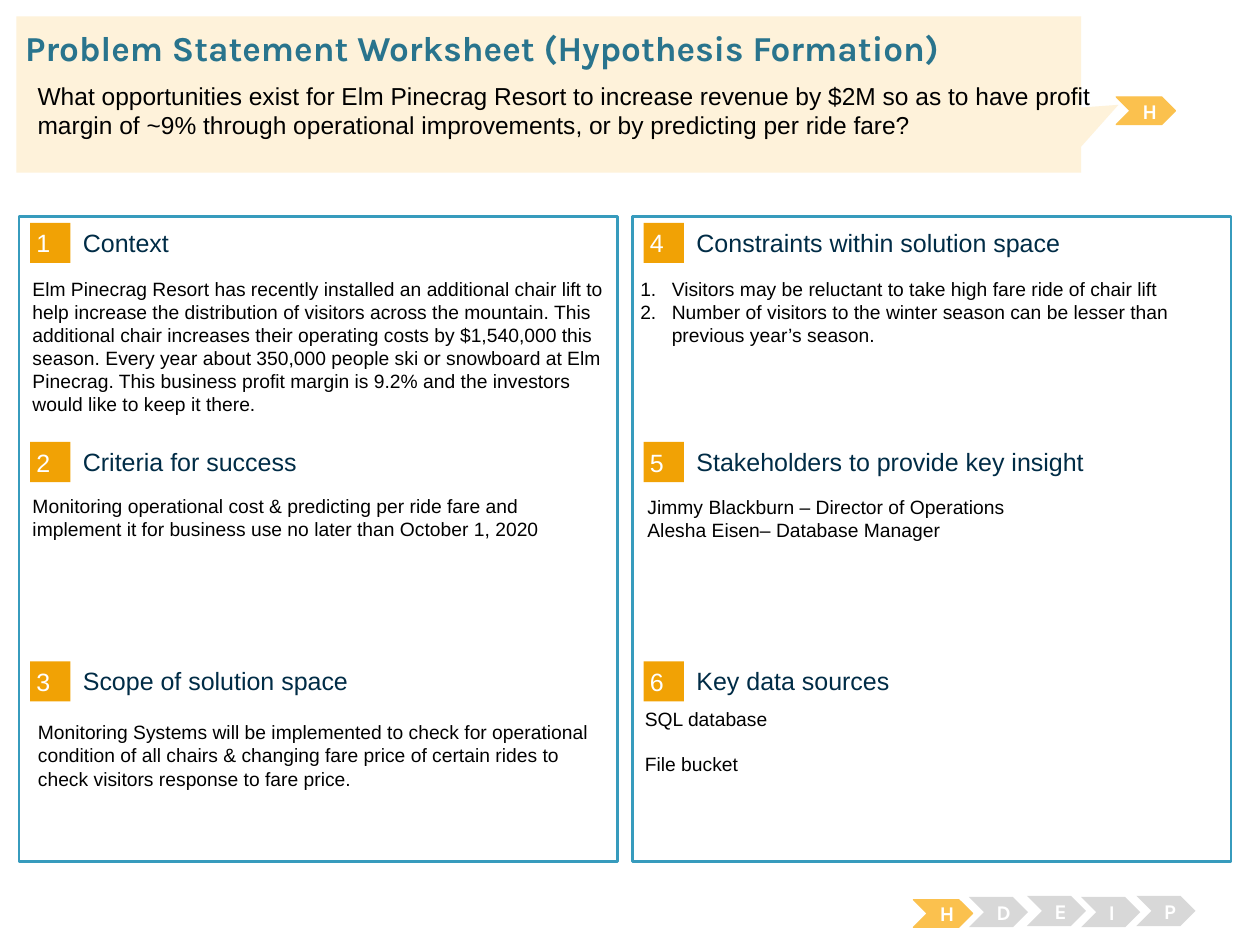
import pptx
import pptx.util
import pptx.dml.color
import pptx.enum.shapes
import pptx.enum.text
import pptx.oxml.ns
from lxml import etree

Pt = pptx.util.Pt
RGB = pptx.dml.color.RGBColor
KIND = pptx.enum.shapes.MSO_SHAPE
ANCHOR = pptx.enum.text.MSO_ANCHOR
ALIGN = pptx.enum.text.PP_ALIGN

WHITE = RGB(0xFF, 0xFF, 0xFF)
BLACK = RGB(0, 0, 0)
BLUE = RGB(0x37, 0x9B, 0xBD)
NAVY = RGB(0x00, 0x2C, 0x46)
TEAL = RGB(0x29, 0x74, 0x8D)
ORANGE = RGB(0xF1, 0xA2, 0x05)
AMBER = RGB(0xFB, 0xC1, 0x4E)
GREY = RGB(0xD8, 0xD8, 0xD8)
CREAM = RGB(0xFE, 0xF2, 0xDA)

COL, ROW = 350.6, 125.28  # steps between panels and between sections
INSET = (7.2, 3.6)

HEADS = [
    "Context", "Criteria for success", "Scope of solution space",
    "Constraints within solution space",
    "Stakeholders to provide key insight", "Key data sources",
]

NOTES = [
    ((11.5, 154.8, 340.6, 98), [
        "Elm Pinecrag Resort has recently installed an additional chair lift "
        "to help increase the distribution of visitors across the mountain. "
        "This additional chair increases their operating costs by $1,540,000 "
        "this season. Every year about 350,000 people ski or snowboard at "
        "Elm Pinecrag. This business profit margin is 9.2% and the investors "
        "would like to keep it there."]),
    ((11.5, 278.8, 340.6, 111), [
        "Monitoring operational cost & predicting per ride fare and implement "
        "it for business use no later than October 1, 2020"]),
    ((14.6, 408.2, 340.6, 59), [
        "Monitoring Systems will be implemented to check for operational "
        "condition of all chairs & changing fare price of certain rides to "
        "check visitors response to fare price."]),
    ((358.8, 154.8, 340.6, 85), [
        "Visitors may be reluctant to take high fare ride of chair lift",
        "Number of visitors to the winter season can be lesser than previous "
        "year’s season."]),
    ((362.9, 279.4, 340.6, 85), [
        "Jimmy Blackburn – Director of Operations",
        "Alesha Eisen– Database Manager"]),
    ((361.4, 400.6, 340.6, 85), ["SQL database", "File bucket"]),
]

QUERY = [
    "What opportunities exist for Elm Pinecrag Resort to increase revenue by "
    "$2M so as to have profit",
    "margin of ~9% through operational improvements, or by predicting per "
    "ride fare?",
]


def write(shape, lines, size, color, font="Arial", bold=False,
          inset=(0, 0), anchor=ANCHOR.TOP, align=ALIGN.LEFT):
    frame = shape.text_frame
    frame.word_wrap = True
    frame.vertical_anchor = anchor
    frame.margin_left = frame.margin_right = Pt(inset[0])
    frame.margin_top = frame.margin_bottom = Pt(inset[1])
    frame.text = "\n".join(lines)
    for para in frame.paragraphs:
        para.alignment = align
        for run in para.runs:
            run.font.size = Pt(size)
            run.font.name = font
            run.font.bold = bold
            run.font.color.rgb = color
    return frame


def shape(slide, kind, box, fill, line=None, width=0.75):
    item = slide.shapes.add_shape(kind, *map(Pt, box))
    item.shadow.inherit = False
    item.fill.solid()
    item.fill.fore_color.rgb = fill
    if line is None:
        item.line.fill.background()
    else:
        item.line.color.rgb = line
        item.line.width = Pt(width)
    return item


def text(slide, box, lines, size, color, **style):
    item = slide.shapes.add_textbox(*map(Pt, box))
    return write(item, lines, size, color, **style)


def number(frame):
    """Turn the paragraphs into a numbered list."""
    for para in frame.paragraphs:
        props = para._p.get_or_add_pPr()
        props.set("marL", str(Pt(18)))
        props.set("indent", str(Pt(-18)))
        mark = etree.SubElement(props, pptx.oxml.ns.qn("a:buAutoNum"))
        mark.set("type", "arabicPeriod")


def section(slide, index, head):
    col, row = divmod(index, 3)
    left, top = 17.2 + col * COL, 127.3 + row * ROW
    badge = shape(slide, KIND.RECTANGLE, (left, top, 23, 23), ORANGE)
    write(badge, [str(index + 1)], 14.3, WHITE, inset=(3.6, 3.6),
          anchor=ANCHOR.MIDDLE)
    text(slide, (left + 30.2, top + 2.2, 283, 18), [head], 14.3, NAVY,
         anchor=ANCHOR.MIDDLE)


def step(slide, left, top, mark, live=False):
    """Draw one chevron of the process, amber when it is the live one."""
    box = (left, top, 33.8, 15.8 if live else 17.3)
    item = shape(slide, KIND.CHEVRON, box, AMBER if live else GREY,
                 AMBER if live else None)
    write(item, [mark], 12, WHITE, font="Karla", bold=True, inset=INSET,
          anchor=ANCHOR.MIDDLE, align=ALIGN.CENTER)


def header(slide):
    call = shape(slide, KIND.RECTANGULAR_CALLOUT, (9.4, 9.4, 608.4, 89.3),
                 CREAM)
    call.adjustments[0], call.adjustments[1] = 0.535, 0.066
    text(slide, (14.4, 15.1, 692.6, 24.5),
         ["Problem Statement Worksheet (Hypothesis Formation)"], 20, TEAL,
         font="Karla", bold=True)
    text(slide, (14.4, 42.5, 676, 39), QUERY, 14, BLACK, inset=INSET)
    step(slide, 637.9, 55.4, "H", live=True)


def main():
    deck = pptx.Presentation()
    deck.slide_width, deck.slide_height = Pt(720), Pt(540)
    slide = deck.slides.add_slide(deck.slide_layouts[6])

    for col in range(2):
        shape(slide, KIND.RECTANGLE, (10.8 + col * COL, 123.8, 342, 368.6),
              WHITE, BLUE, 1.5)
    for index, head in enumerate(HEADS):
        section(slide, index, head)

    frames = [text(slide, box, lines, 11, BLACK, inset=INSET)
              for box, lines in NOTES]
    number(frames[3])
    frames[5].paragraphs[1].space_before = Pt(12.65)

    header(slide)
    step(slide, 522, 514.1, "H", live=True)
    for mark, left, top in (("D", 553.7, 512.6), ("E", 586.8, 511.9),
                            ("I", 617.8, 512.6), ("P", 649.4, 511.9)):
        step(slide, left, top, mark)

    deck.save("out.pptx")


if __name__ == "__main__":
    main()
